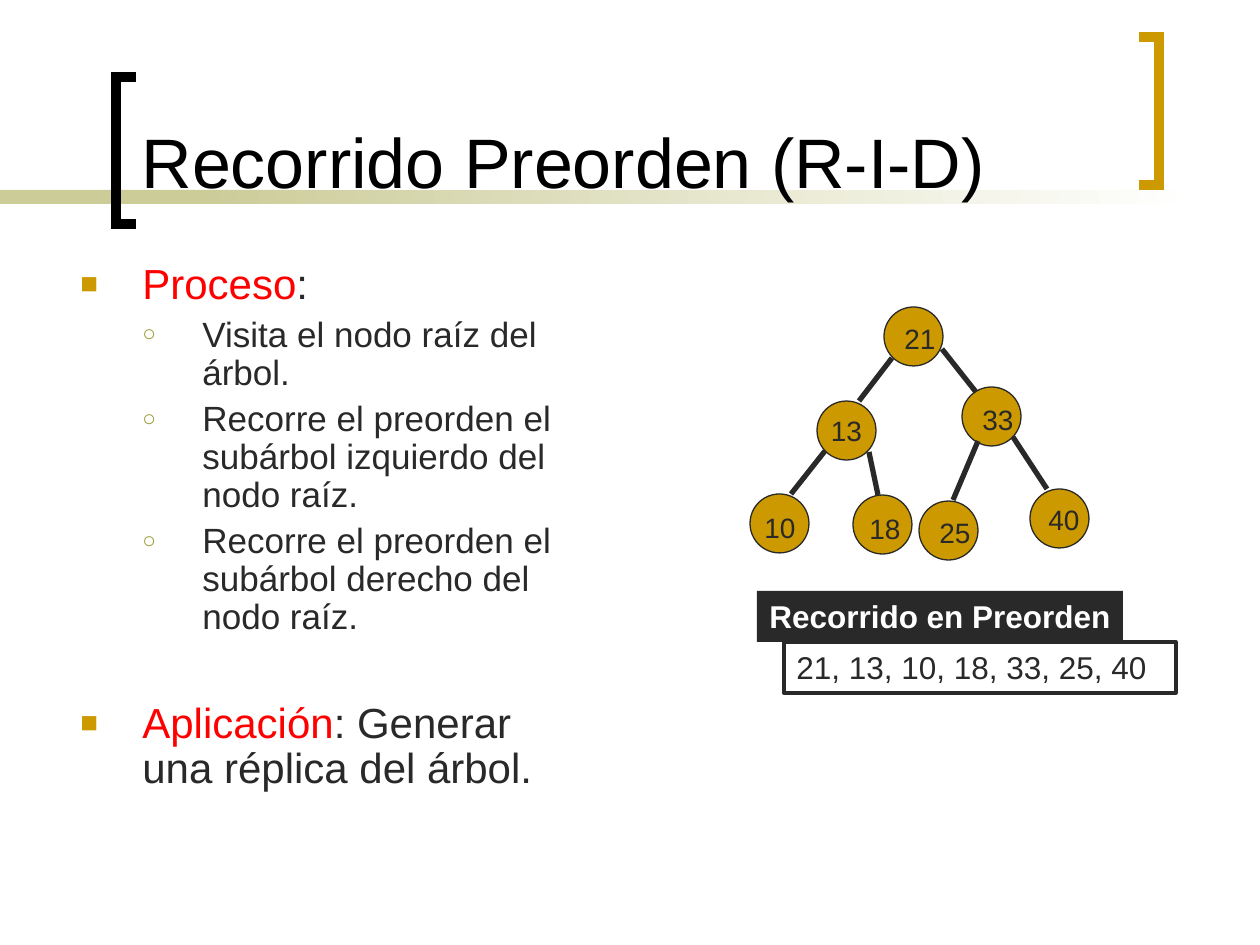
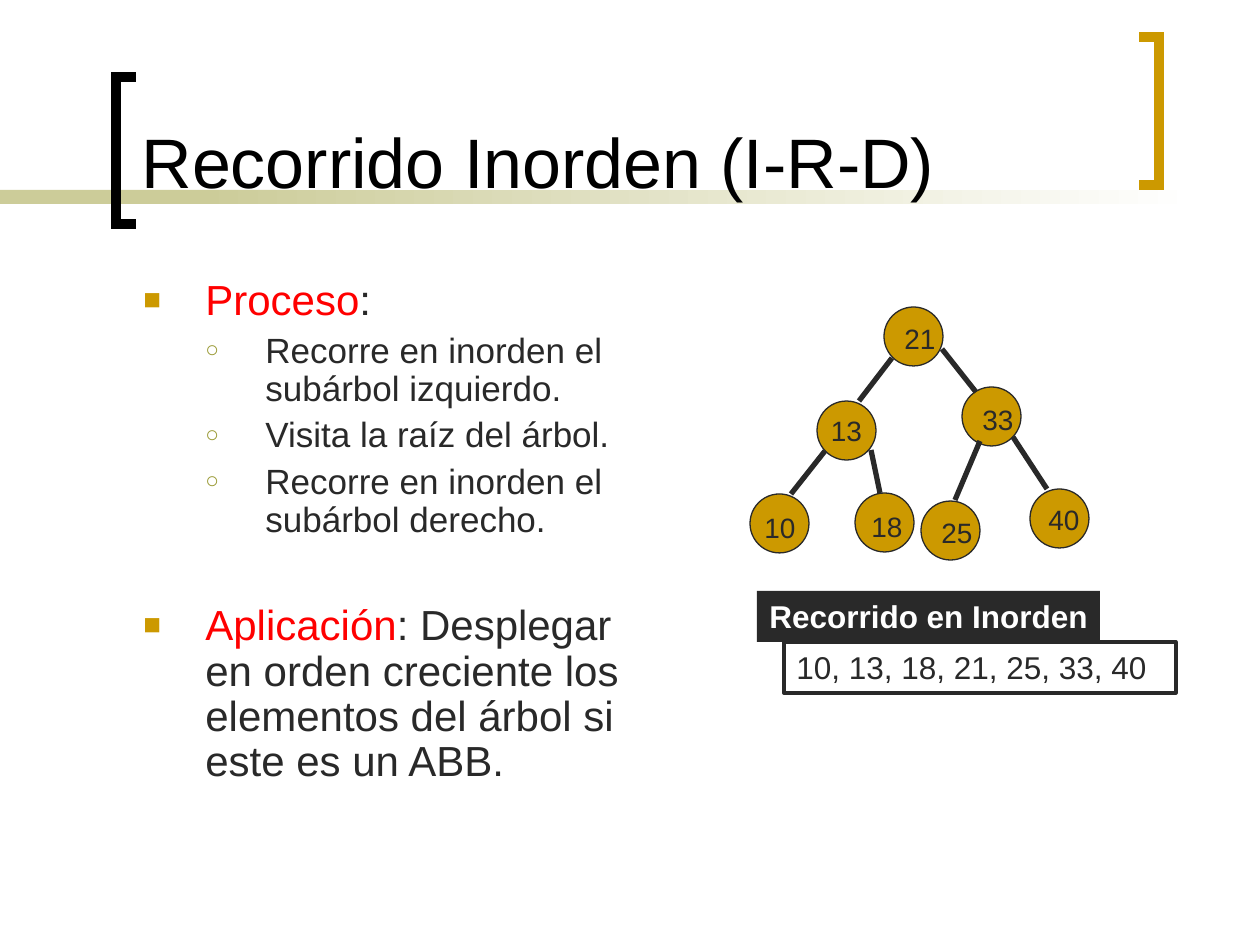
from dataclasses import dataclass

from lxml import etree
from pptx import Presentation
from pptx import util as u
from pptx.dml.color import RGBColor
from pptx.enum import shapes, text
from pptx.oxml.ns import qn

EMU_PER_PX = 914400 / 126
FONT = "Arial"
COLORS = {
    "ink": "292929",
    "black": "000000",
    "white": "FFFFFF",
    "gold": "CC9900",
    "olive": "999933",
    "sand": "CCCC99",
    "red": "FF0000",
}
NODE_SIZE = 59
LABEL_SIZE = (68, 47)
BODY_SIZE = (518, 567)


@dataclass(frozen=True)
class Node:
    key: str
    x: int
    y: int
    label_offset: tuple[int, int] | None = None
    edge: tuple[int, int, int, int] | None = None


@dataclass(frozen=True)
class Bracket:
    tip: int
    spine: int
    top: int
    bottom: int
    color: str


@dataclass(frozen=True)
class Level:
    size: int
    margin: int
    hang: int
    before: int
    bullet: str
    bullet_color: str
    bullet_percent: int


@dataclass(frozen=True)
class Traversal:
    title: str
    body_at: tuple[int, int]
    steps: tuple[str, ...]
    use: str
    header: str
    header_width: int
    order: str
    shifts: dict[str, tuple[int, int]]


BRACKETS = (
    Bracket(136, 116, 77, 224, "black"),
    Bracket(1139, 1159, 37, 185, "gold"),
)
HEADING = Level(24, 62, 62, 6, "■", "gold", 70)
STEP = Level(20, 122, 60, 5, "○", "olive", 65)
SECTION_GAP = 37

NODES = (
    Node("21", 884, 307, (8, 8)),
    Node("13", 817, 401, None, (892, 358, 859, 401)),
    Node("33", 962, 387, (8, 9), (942, 349, 976, 392)),
    Node("10", 750, 494, (2, 10), (825, 451, 791, 494)),
    Node("18", 853, 495, (4, 10), (869, 452, 878, 495)),
    Node("25", 919, 501, (8, 8), (978, 441, 953, 500)),
    Node("40", 1030, 489, (6, 7), (1013, 437, 1047, 489)),
)

TRAVERSALS = (
    Traversal(
        "Recorrido Preorden (R-I-D)",
        (68, 257),
        (
            "Visita el nodo raíz del árbol.",
            "Recorre el preorden el subárbol izquierdo del nodo raíz.",
            "Recorre el preorden el subárbol derecho del nodo raíz.",
        ),
        ": Generar una réplica del árbol.",
        "Recorrido en Preorden",
        366,
        "21, 13, 10, 18, 33, 25, 40",
        {},
    ),
    Traversal(
        "Recorrido Inorden (I-R-D)",
        (131, 273),
        (
            "Recorre en inorden el subárbol izquierdo.",
            "Visita la raíz del árbol.",
            "Recorre en inorden el subárbol derecho.",
        ),
        ": Desplegar en orden creciente los elementos del árbol si este es un ABB.",
        "Recorrido en Inorden",
        343,
        "10, 13, 18, 21, 25, 33, 40",
        {"18": (2, -2), "25": (2, 0)},
    ),
)


def px(length: float) -> int:
    return round(length * EMU_PER_PX)


def rgb(name: str) -> RGBColor:
    return RGBColor.from_string(COLORS[name])


def style_font(font, size: int, color: str, bold: bool = False) -> None:
    font.name = FONT
    font.size = u.Pt(size)
    font.bold = bold
    font.color.rgb = rgb(color)


def write(box, words: str, size: int, color: str, bold: bool = False,
          wrap: bool = True, align=text.PP_ALIGN.LEFT,
          anchor=text.MSO_ANCHOR.TOP) -> None:
    frame = box.text_frame
    frame.word_wrap = wrap
    frame.vertical_anchor = anchor
    para = frame.paragraphs[0]
    para.text = words
    para.alignment = align
    style_font(para.font, size, color, bold)


def add_box(page, kind, x: int, y: int, width: int, height: int,
            fill: str | None = None, line: str | None = None, weight: float = 0.75):
    box = page.shapes.add_shape(kind, px(x), px(y), px(width), px(height))
    box.shadow.inherit = False
    if fill:
        box.fill.solid()
        box.fill.fore_color.rgb = rgb(fill)
    else:
        box.fill.background()
    if line:
        box.line.color.rgb = rgb(line)
        box.line.width = u.Pt(weight)
    else:
        box.line.fill.background()
    return box


def add_bracket(page, bracket: Bracket) -> None:
    builder = page.shapes.build_freeform(bracket.tip, bracket.top, scale=EMU_PER_PX)
    builder.add_line_segments(
        [(bracket.spine, bracket.top), (bracket.spine, bracket.bottom),
         (bracket.tip, bracket.bottom)], close=False)
    outline = builder.convert_to_shape()
    outline.shadow.inherit = False
    outline.fill.background()
    outline.line.color.rgb = rgb(bracket.color)
    outline.line.width = u.Pt(6)
    etree.SubElement(outline.line._get_or_add_ln(), qn("a:miter"), lim="800000")


def add_title(page, words: str) -> None:
    rectangle = shapes.MSO_SHAPE.RECTANGLE
    add_box(page, rectangle, 0, 190, 294, 14, fill="sand")
    fade = add_box(page, rectangle, 199, 190, 998, 14)
    fade.fill.gradient()
    fade.fill.gradient_angle = 0
    for stop, color in zip(fade.fill.gradient_stops, ("sand", "white")):
        stop.color.rgb = rgb(color)
    for bracket in BRACKETS:
        add_bracket(page, bracket)

    title = page.shapes.title
    title.left, title.top, title.width, title.height = map(px, (129, 14, 987, 195))
    write(title, words, 40, "black", anchor=text.MSO_ANCHOR.BOTTOM)
    page.shapes._spTree.append(title._element)


def format_level(para, level: Level, before: int) -> None:
    para.line_spacing = 0.9
    para.space_before = u.Pt(before)
    props = para._p.get_or_add_pPr()
    props.set("marL", str(px(level.margin)))
    props.set("indent", str(-px(level.hang)))
    color = etree.SubElement(props, qn("a:buClr"))
    etree.SubElement(color, qn("a:srgbClr"), val=COLORS[level.bullet_color])
    etree.SubElement(props, qn("a:buSzPct"), val=str(level.bullet_percent * 1000))
    etree.SubElement(props, qn("a:buFont"), typeface=FONT)
    etree.SubElement(props, qn("a:buChar"), char=level.bullet)


def fill_heading(para, term: str, rest: str, before: int) -> None:
    format_level(para, HEADING, before)
    for words, color in ((term, "red"), (rest, "ink")):
        span = para.add_run()
        span.text = words
        style_font(span.font, HEADING.size, color)


def add_body(page, traversal: Traversal) -> None:
    box = page.shapes.add_textbox(*map(px, traversal.body_at + BODY_SIZE))
    frame = box.text_frame
    frame.word_wrap = True
    fill_heading(frame.paragraphs[0], "Proceso", ":", HEADING.before)
    for step in traversal.steps:
        para = frame.add_paragraph()
        para.text = step
        format_level(para, STEP, STEP.before)
        style_font(para.font, STEP.size, "ink")
    fill_heading(frame.add_paragraph(), "Aplicación", traversal.use, SECTION_GAP)


def add_edge(page, ends: tuple[int, int, int, int], dx: int, dy: int) -> None:
    x1, y1, x2, y2 = ends
    edge = page.shapes.add_connector(
        shapes.MSO_CONNECTOR.STRAIGHT, px(x1 + dx), px(y1 + dy), px(x2 + dx), px(y2 + dy))
    edge.line.color.rgb = rgb("ink")
    edge.line.width = u.Pt(3)
    etree.SubElement(edge._element.spPr, qn("a:effectLst"))


def add_tree(page, shifts: dict[str, tuple[int, int]]) -> None:
    placed = [(node, *shifts.get(node.key, (0, 0))) for node in NODES]
    for node, dx, dy in placed:
        circle = add_box(page, shapes.MSO_SHAPE.OVAL, node.x + dx, node.y + dy,
                         NODE_SIZE, NODE_SIZE, fill="gold", line="ink")
        if node.label_offset is None:
            write(circle, node.key, 16, "ink", wrap=False,
                  align=text.PP_ALIGN.CENTER, anchor=text.MSO_ANCHOR.MIDDLE)
    for node, dx, dy in placed:
        if node.edge:
            add_edge(page, node.edge, dx, dy)
    for node, dx, dy in placed:
        if node.label_offset:
            right, down = node.label_offset
            place = (node.x + dx + right, node.y + dy + down)
            label = page.shapes.add_textbox(*map(px, place + LABEL_SIZE))
            write(label, node.key, 16, "ink")


def add_result(page, traversal: Traversal) -> None:
    rectangle = shapes.MSO_SHAPE.RECTANGLE
    order = add_box(page, rectangle, 784, 642, 392, 51, line="ink", weight=2)
    write(order, traversal.order, 18, "ink")
    header = add_box(page, rectangle, 757, 591, traversal.header_width, 51, fill="ink")
    write(header, traversal.header, 18, "white", bold=True, wrap=False)


def main() -> None:
    deck = Presentation()
    deck.slide_width, deck.slide_height = u.Inches(10), u.Inches(7.5)
    for traversal in TRAVERSALS:
        page = deck.slides.add_slide(deck.slide_layouts[5])
        add_title(page, traversal.title)
        add_body(page, traversal)
        add_tree(page, traversal.shifts)
        add_result(page, traversal)
    deck.save("out.pptx")


if __name__ == "__main__":
    main()
